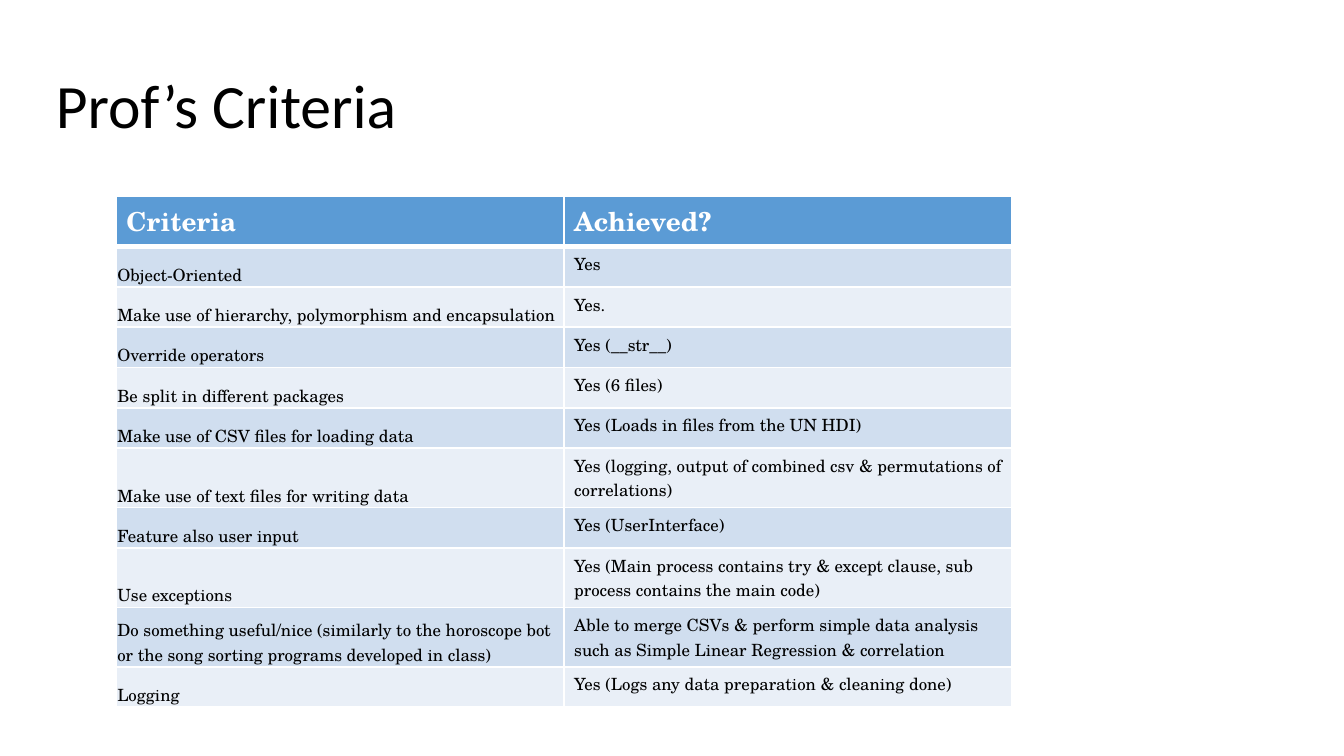
"""Build a slide with a table of project criteria and how each was achieved."""
import pptx
import pptx.dml.color
import pptx.enum.text
import pptx.oxml
import pptx.oxml.ns
import pptx.util

Pt = pptx.util.Pt
ANCHOR = pptx.enum.text.MSO_ANCHOR

TITLE = "Prof’s Criteria"
ROWS = [
    ("Criteria", "Achieved?"),
    ("Object-Oriented", "Yes"),
    ("Make use of hierarchy, polymorphism and encapsulation", "Yes."),
    ("Override operators", "Yes (__str__)"),
    ("Be split in different packages", "Yes (6 files)"),
    ("Make use of CSV files for loading data", "Yes (Loads in files from the UN HDI)"),
    ("Make use of text files for writing data",
     "Yes (logging, output of combined csv & permutations of correlations)"),
    ("Feature also user input", "Yes (UserInterface)"),
    ("Use exceptions",
     "Yes (Main process contains try & except clause, sub process contains the main code)"),
    ("Do something useful/nice (similarly to the horoscope bot or the song sorting programs "
     "developed in class)",
     "Able to merge CSVs & perform simple data analysis such as Simple Linear Regression "
     "& correlation"),
    ("Logging", "Yes (Logs any data preparation & cleaning done)"),
]
HEADER_FILL = "5B9BD5"
BAND_FILLS = ("D0DEEF", "E9EFF7")
WIDE_INSETS = (5.4, 2.7, 5.4, 2.7)
TIGHT_INSETS = (0.6, 0.6, 0.6, 0)
LEFT, TOP, COLUMN_WIDTH, ROW_HEIGHT = 62.25, 105, 240, 21.6


def color(value):
    return pptx.dml.color.RGBColor.from_string(value)


def set_insets(target, insets):
    sides = ("margin_left", "margin_top", "margin_right", "margin_bottom")
    for side, inset in zip(sides, insets):
        setattr(target, side, Pt(inset))


def style_text(para, font, size, ink, bold=False):
    for span in para.runs:
        span.font.name = font
        span.font.size = Pt(size)
        span.font.bold = bold
        span.font.color.rgb = color(ink)


def add_borders(cell, widths):
    properties = cell._tc.get_or_add_tcPr()
    for index, (side, width) in enumerate(widths.items()):
        line = pptx.oxml.parse_xml(
            f'<a:{side} {pptx.oxml.ns.nsdecls("a")} w="{Pt(width)}">'
            f'<a:solidFill><a:srgbClr val="FFFFFF"/></a:solidFill></a:{side}>')
        properties.insert(index, line)


def fill_cell(cell, text, row, column):
    header = row == 0
    tight = column == 0 and not header
    cell.text_frame.text = text
    cell.vertical_anchor = ANCHOR.BOTTOM if tight else ANCHOR.TOP
    set_insets(cell, TIGHT_INSETS if tight else WIDE_INSETS)
    cell.fill.solid()
    cell.fill.fore_color.rgb = color(HEADER_FILL if header else BAND_FILLS[(row - 1) % 2])
    style_text(cell.text_frame.paragraphs[0], "TeX Gyre Schola",
               14 if header else 9, "FFFFFF" if header else "000000", header)
    add_borders(cell, {"lnL": 1, "lnR": 1, "lnT": 3 if row == 1 else 1,
                       "lnB": 3 if header else 1})


def add_title(page):
    box = page.shapes.add_textbox(Pt(24.5), Pt(35.25), Pt(671), Pt(45.5))
    frame = box.text_frame
    frame.word_wrap = True
    frame.vertical_anchor = ANCHOR.MIDDLE
    set_insets(frame, (5.4, 2.7, 5.4, 2.7))
    frame.text = TITLE
    para = frame.paragraphs[0]
    para.line_spacing = 0.9
    style_text(para, "Calibri", 33, "000000")


def add_criteria(page):
    table = page.shapes.add_table(len(ROWS), 2, Pt(LEFT), Pt(TOP), Pt(2 * COLUMN_WIDTH),
                                  Pt(len(ROWS) * ROW_HEIGHT)).table
    for column in table.columns:
        column.width = Pt(COLUMN_WIDTH)
    for row, texts in enumerate(ROWS):
        table.rows[row].height = Pt(ROW_HEIGHT)
        for column, text in enumerate(texts):
            fill_cell(table.cell(row, column), text, row, column)


def main():
    deck = pptx.Presentation()
    deck.slide_width, deck.slide_height = Pt(720), Pt(405)
    page = deck.slides.add_slide(deck.slide_layouts[6])
    add_criteria(page)
    add_title(page)
    deck.save("out.pptx")


if __name__ == "__main__":
    main()
